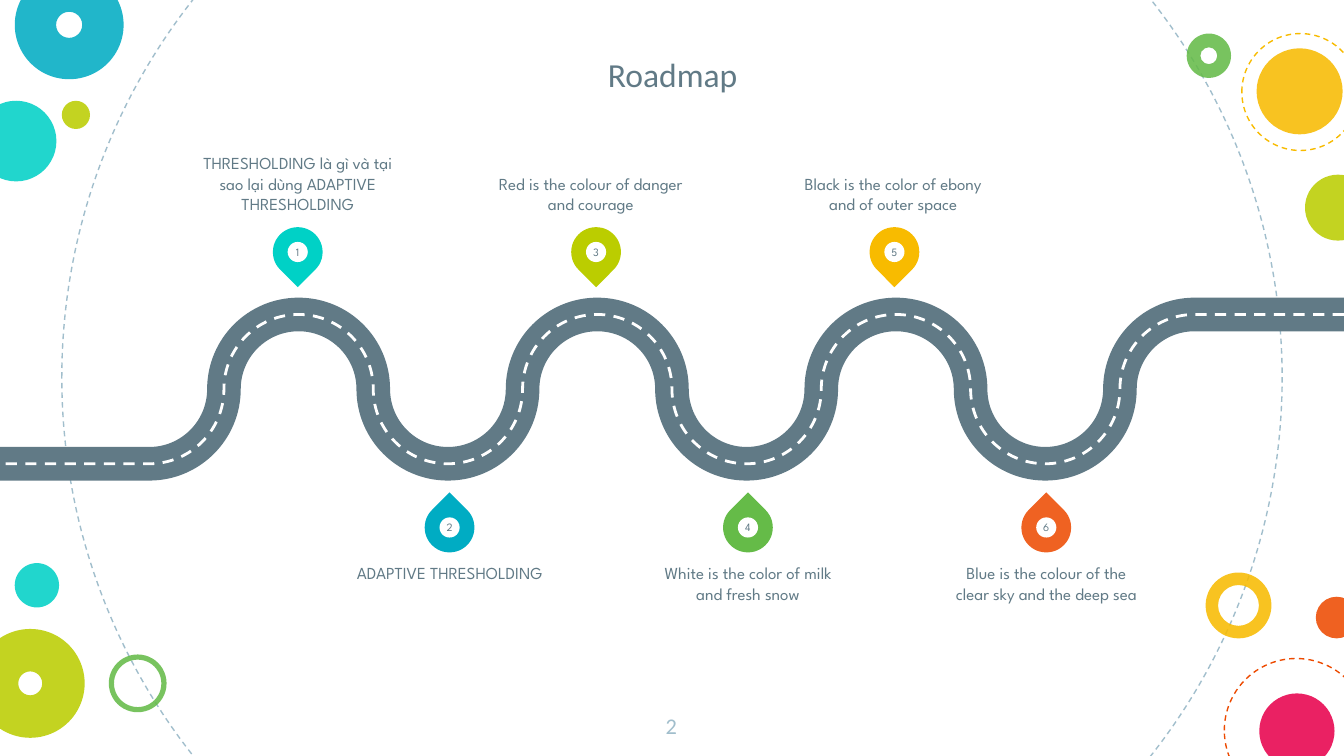
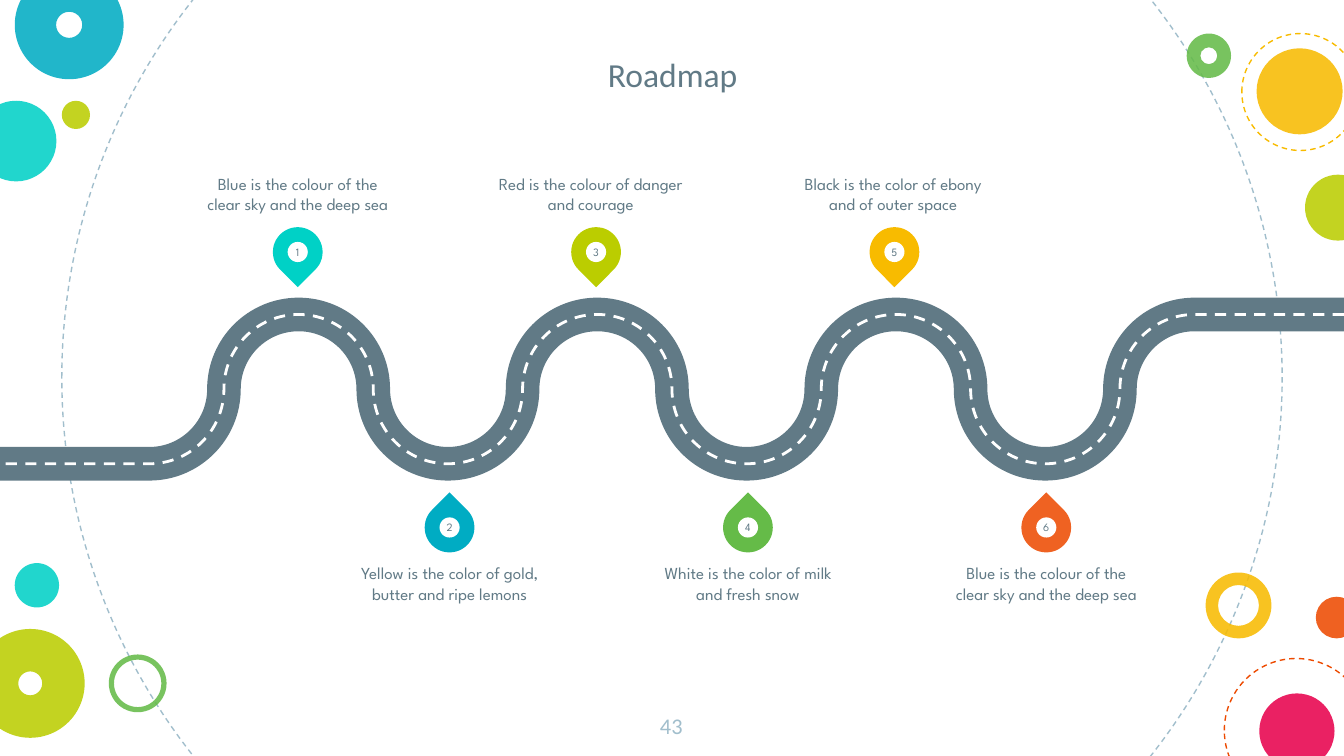
"""Build two roadmap slides that share one layout of coloured rings."""
from math import sqrt
from typing import NamedTuple, Optional

from lxml.etree import SubElement as Sub
from pptx import Presentation
from pptx.dml.color import RGBColor
from pptx.enum.dml import MSO_LINE as Dash
from pptx.enum.shapes import MSO_SHAPE as Kind
from pptx.enum.text import MSO_ANCHOR as Anchor, MSO_AUTO_SIZE as Fit, PP_ALIGN as Align
from pptx.oxml.ns import qn
from pptx.util import Inches, Pt

SLATE = RGBColor(0x61, 0x7A, 0x86)
MIST = RGBColor(0xA1, 0xBE, 0xCC)
WHITE = RGBColor(0xFF, 0xFF, 0xFF)
AQUA = RGBColor(0x00, 0xD1, 0xC6)
TEAL = RGBColor(0x00, 0xAC, 0xC3)
LIME = RGBColor(0xBB, 0xCD, 0x00)
GREEN = RGBColor(0x65, 0xBB, 0x48)
GOLD = RGBColor(0xF8, 0xBB, 0x00)
FLAME = RGBColor(0xED, 0x4A, 0x00)
CORAL = RGBColor(0xEF, 0x62, 0x22)
PINK = RGBColor(0xE8, 0x00, 0x4C)

HEAD_FONT = "Calibri"
BODY_FONT = "League Spartan"
WIDE = 10
HIGH = WIDE * 9 / 16
STEP = WIDE / 18
TURNS = 14
ROAD_TOP = 2.34
BEND = 4 / 3 * (sqrt(2) - 1)
PIN, DOT = 0.37, 0.15
PIN_GAP = 2.22


class Ring(NamedTuple):
    left: float
    top: float
    size: float
    color: RGBColor
    hole: Optional[float] = None
    dashed: bool = False


class Stop(NamedTuple):
    num: int
    color: RGBColor
    text_left: float


class Page(NamedTuple):
    num: str
    texts: list[str]


RINGS = [
    Ring(0.46, -1.73, 9.08, MIST, dashed=True),
    Ring(-0.18, 0.75, 0.6, AQUA),
    Ring(8.97, 4.26, 0.49, GOLD, 0.19),
    Ring(0.11, -0.22, 0.81, TEAL, 0.38),
    Ring(0.46, 0.75, 0.21, LIME),
    Ring(9.11, 4.9, 1.07, FLAME, dashed=True),
    Ring(0.81, 4.87, 0.43, GREEN, 0.09),
    Ring(9.79, 4.44, 0.31, FLAME),
    Ring(-0.18, 4.68, 0.81, LIME, 0.39),
    Ring(9.37, 5.16, 0.56, PINK),
    Ring(8.83, 0.25, 0.33, GREEN, 0.31),
    Ring(9.35, 0.36, 0.64, GOLD),
    Ring(9.71, 1.3, 0.49, LIME),
    Ring(9.24, 0.25, 0.87, GOLD, dashed=True),
    Ring(0.11, 4.19, 0.33, AQUA),
]

STOPS = [
    Stop(1, AQUA, 1.51),
    Stop(2, TEAL, 2.64),
    Stop(3, LIME, 3.69),
    Stop(4, GREEN, 4.86),
    Stop(5, GOLD, 5.94),
    Stop(6, CORAL, 7.08),
]

SKY = "Blue is the colour of the clear sky and the deep sea"
SHARED = [
    "Red is the colour of danger and courage",
    "White is the color of milk and fresh snow",
    "Black is the color of ebony and of outer space",
    SKY,
]
PAGES = [
    Page("2", [
        "THRESHOLDING là gì và tại sao lại dùng ADAPTIVE THRESHOLDING",
        "ADAPTIVE THRESHOLDING",
        *SHARED,
    ]),
    Page("43", [
        SKY,
        "Yellow is the color of gold, butter and ripe lemons",
        *SHARED,
    ]),
]


def place(left: float, top: float, wide: float, high: float) -> list:
    return [Inches(side) for side in (left, top, wide, high)]


def write(shape, text: str, size: float, font: str, color: RGBColor,
          anchor=Anchor.TOP, inset: float = 0) -> None:
    frame = shape.text_frame
    frame.text = text
    frame.word_wrap = True
    frame.auto_size = Fit.NONE
    frame.vertical_anchor = anchor
    frame.margin_left = frame.margin_right = Inches(inset)
    frame.margin_top = frame.margin_bottom = Inches(inset)
    para = frame.paragraphs[0]
    para.alignment = Align.CENTER
    for run in para.runs:
        run.font.size = Pt(size)
        run.font.name = font
        run.font.color.rgb = color


def paint(shape, color: RGBColor) -> None:
    shape.shadow.inherit = False
    shape.fill.solid()
    shape.fill.fore_color.rgb = color
    shape.line.fill.background()


def stroke(shape, color: RGBColor, width: float, dashed: bool) -> None:
    shape.shadow.inherit = False
    shape.fill.background()
    shape.line.color.rgb = color
    shape.line.width = Pt(width)
    if dashed:
        shape.line.dash_style = Dash.DASH


def draw_ring(slide, ring: Ring):
    kind = Kind.OVAL if ring.hole is None else Kind.DONUT
    shape = slide.shapes.add_shape(kind, *place(ring.left, ring.top, ring.size, ring.size))
    if ring.hole is not None:
        shape.adjustments[0] = ring.hole
    if ring.dashed:
        stroke(shape, ring.color, 0.75, True)
    else:
        paint(shape, ring.color)
        tint = shape.element.spPr.find(qn("a:solidFill"))[0]
        Sub(tint, qn("a:alpha"), val="87000")
    return shape


def road_points() -> list[tuple[float, float]]:
    levels = [0, 1, 2, 1]
    knots = [(WIDE - (turn + 2) * STEP, ROAD_TOP + levels[turn % 4] * STEP)
             for turn in range(TURNS + 1)]
    points = [knots[0]]
    for turn, ((ax, ay), (bx, by)) in enumerate(zip(knots, knots[1:])):
        if turn % 2:
            points += [(ax, ay + BEND * (by - ay)), (bx + BEND * STEP, by)]
        else:
            points += [(ax - BEND * STEP, ay), (bx, by + BEND * (ay - by))]
        points.append((bx, by))
    return points + [(0, knots[-1][1])]


def draw_road(slide, color: RGBColor, width: float, dashed: bool) -> None:
    points = [(Inches(x), Inches(y)) for x, y in road_points()]
    maker = slide.shapes.build_freeform(Inches(WIDE), Inches(ROAD_TOP))
    maker.add_line_segments(points, close=False)
    shape = maker.convert_to_shape()
    track = next(shape.element.iter(qn("a:path")))
    legs = track.findall(qn("a:lnTo"))[1:-1]
    for trio in zip(legs[::3], legs[1::3], legs[2::3]):
        curve = Sub(track, qn("a:cubicBezTo"))
        trio[0].addprevious(curve)
        for leg in trio:
            curve.append(leg[0])
            track.remove(leg)
    stroke(shape, color, width, dashed)


def draw_pin(slide, stop: Stop) -> None:
    pair, below = divmod(stop.num - 1, 2)
    left = (3.16 if below else 2.03) + pair * PIN_GAP
    top = 3.74 if below else 1.69
    group = slide.shapes.add_group_shape()
    drop = group.shapes.add_shape(Kind.TEAR, *place(left, top, PIN, PIN))
    drop.rotation = 315 if below else 135
    paint(drop, stop.color)
    inset = (PIN - DOT) / 2
    dot = group.shapes.add_shape(Kind.OVAL, *place(left + inset, top + inset, DOT, DOT))
    paint(dot, WHITE)
    write(dot, str(stop.num), 6, BODY_FONT, SLATE, Anchor.MIDDLE)


def draw_label(slide, stop: Stop, text: str) -> None:
    below = stop.num % 2 == 0
    box = slide.shapes.add_textbox(*place(stop.text_left, 4.19 if below else 1.01, 1.41, 0.58))
    write(box, text, 9, BODY_FONT, SLATE, Anchor.TOP if below else Anchor.BOTTOM)


def draw_page(slide, page: Page) -> None:
    title = slide.shapes.title
    title.left, title.top, title.width, title.height = place(2.12, 0.1, 5.77, 0.7)
    write(title, "Roadmap", 18, HEAD_FONT, SLATE, Anchor.BOTTOM, 0.1)
    foot = slide.shapes.add_textbox(*place(4.74, 5.2, 0.51, 0.43))
    write(foot, page.num, 12, HEAD_FONT, MIST, inset=0.1)
    draw_road(slide, SLATE, 18, False)
    draw_road(slide, WHITE, 1.5, True)
    for stop in STOPS:
        draw_pin(slide, stop)
    for stop, text in zip(STOPS, page.texts):
        draw_label(slide, stop, text)


def main() -> None:
    deck = Presentation()
    deck.slide_width, deck.slide_height = Inches(WIDE), Inches(HIGH)
    layout = deck.slide_layouts[5]
    slides = [deck.slides.add_slide(layout) for _ in PAGES]
    for ring in RINGS:
        layout.shapes.element.append(draw_ring(slides[0], ring).element)
    for slide, page in zip(slides, PAGES):
        draw_page(slide, page)
    deck.save("out.pptx")


if __name__ == "__main__":
    main()
